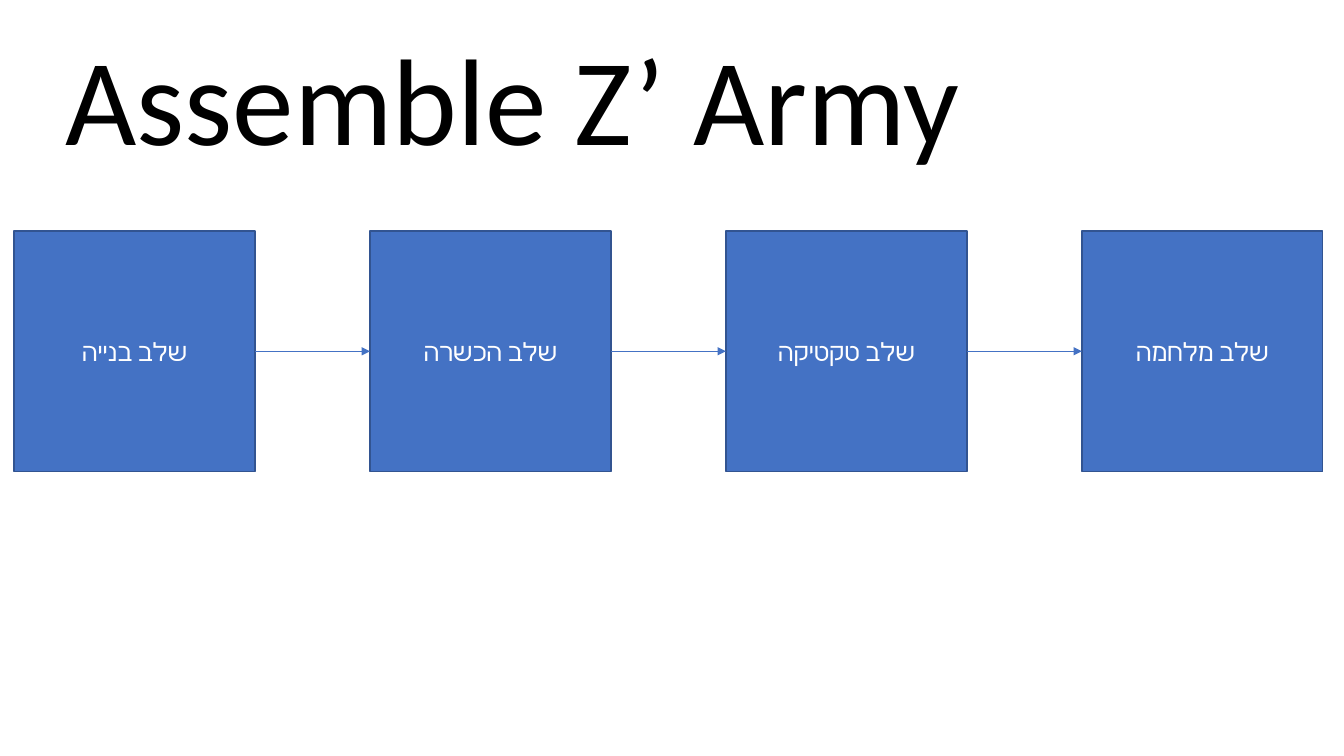
import pptx
import pptx.util
import pptx.dml.color
import pptx.enum.shapes
import pptx.enum.text
import pptx.oxml.ns
from lxml import etree

Inches, Pt = pptx.util.Inches, pptx.util.Pt
RGBColor = pptx.dml.color.RGBColor
qn = pptx.oxml.ns.qn

BLUE = RGBColor(0x44, 0x72, 0xC4)
EDGE = RGBColor(0x32, 0x54, 0x91)
WHITE = RGBColor(0xFF, 0xFF, 0xFF)
BLACK = RGBColor(0, 0, 0)
FONT = "Calibri"
STAGES = ["שלב בנייה", "שלב הכשרה", "שלב טקטיקה", "שלב מלחמה"]


def style_text(p, size, color):
    for r in p.runs:
        r.font.name, r.font.size = FONT, Pt(size)
        r.font.color.rgb = color
        # Hebrew takes the complex-script font
        etree.SubElement(r._r.get_or_add_rPr(), qn("a:cs")).set("typeface", FONT)


def add_title(s, text, left, top, width, height):
    tf = s.shapes.add_textbox(left, top, width, height).text_frame
    tf.word_wrap = True
    tf.text = text
    style_text(tf.paragraphs[0], 88, BLACK)


def add_stage(s, text, left, top, side):
    sp = s.shapes.add_shape(pptx.enum.shapes.MSO_SHAPE.RECTANGLE, left, top, side, side)
    sp.shadow.inherit = False
    sp.fill.solid()
    sp.fill.fore_color.rgb = BLUE
    sp.line.color.rgb = EDGE
    sp.line.width = Pt(1)
    tf = sp.text_frame
    tf.text = text
    tf.vertical_anchor = pptx.enum.text.MSO_ANCHOR.MIDDLE
    p = tf.paragraphs[0]
    p.alignment = pptx.enum.text.PP_ALIGN.CENTER
    style_text(p, 18, WHITE)
    return sp


def add_arrow(s, start, end):
    arrow = s.shapes.add_connector(pptx.enum.shapes.MSO_CONNECTOR.STRAIGHT, 0, 0, 0, 0)
    # Right side of one stage to the left side of the next
    arrow.begin_connect(start, 3)
    arrow.end_connect(end, 1)
    arrow.line.color.rgb = BLUE
    arrow.line.width = Pt(0.5)
    etree.SubElement(arrow.line._get_or_add_ln(), qn("a:tailEnd")).set("type", "triangle")
    etree.SubElement(arrow._element.spPr, qn("a:effectLst"))


def add_flow(s, stages, left, top, width, side):
    pitch = (width - side) / (len(stages) - 1)
    boxes = [add_stage(s, text, int(left + i * pitch), top, side)
             for i, text in enumerate(stages)]
    for start, end in zip(boxes, boxes[1:]):
        add_arrow(s, start, end)


prs = pptx.Presentation()
prs.slide_width, prs.slide_height = Inches(13.33), Inches(7.5)
s = prs.slides.add_slide(prs.slide_layouts[6])

# Title
add_title(s, "Assemble Z’ Army", Inches(0.55), Inches(0.17), Inches(11.43), Inches(1.58))
# Row of stages joined by arrows
add_flow(s, STAGES, Inches(0.14), Inches(2.29), Inches(12.98), Inches(2.39))

prs.save("out.pptx")
